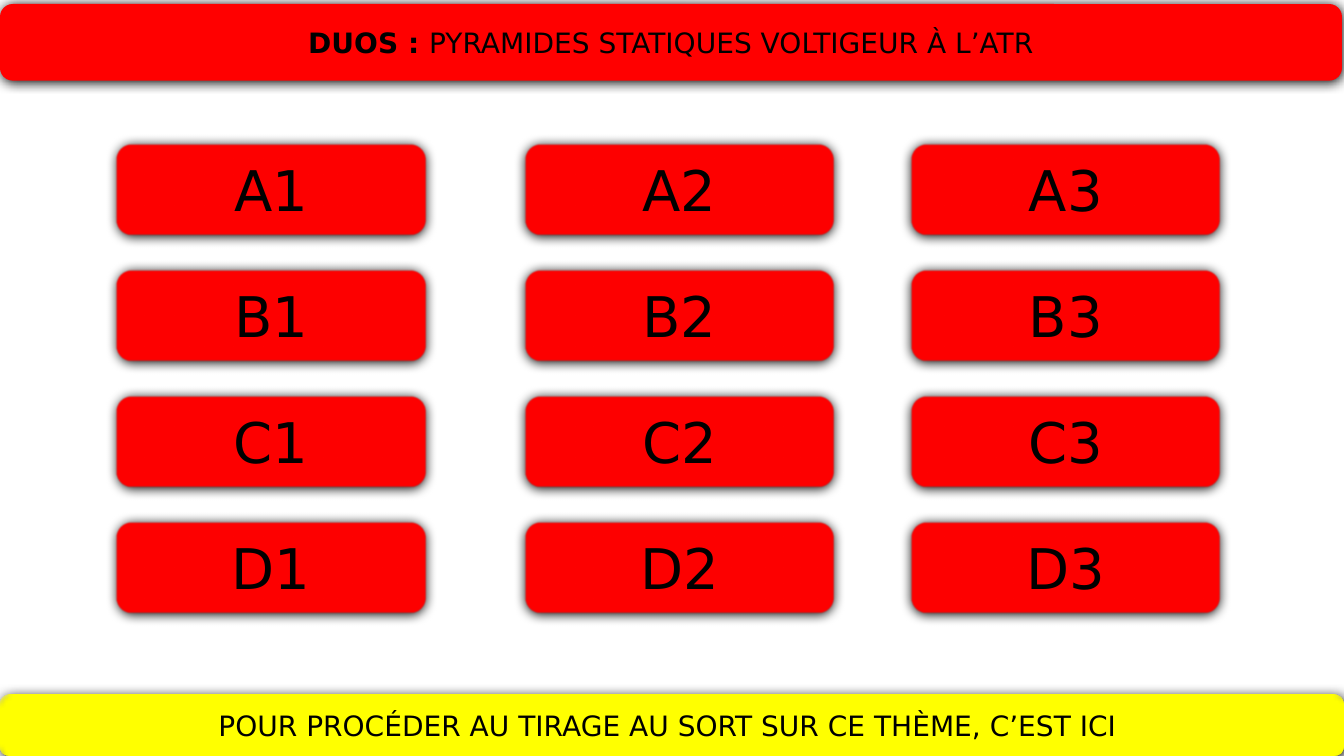
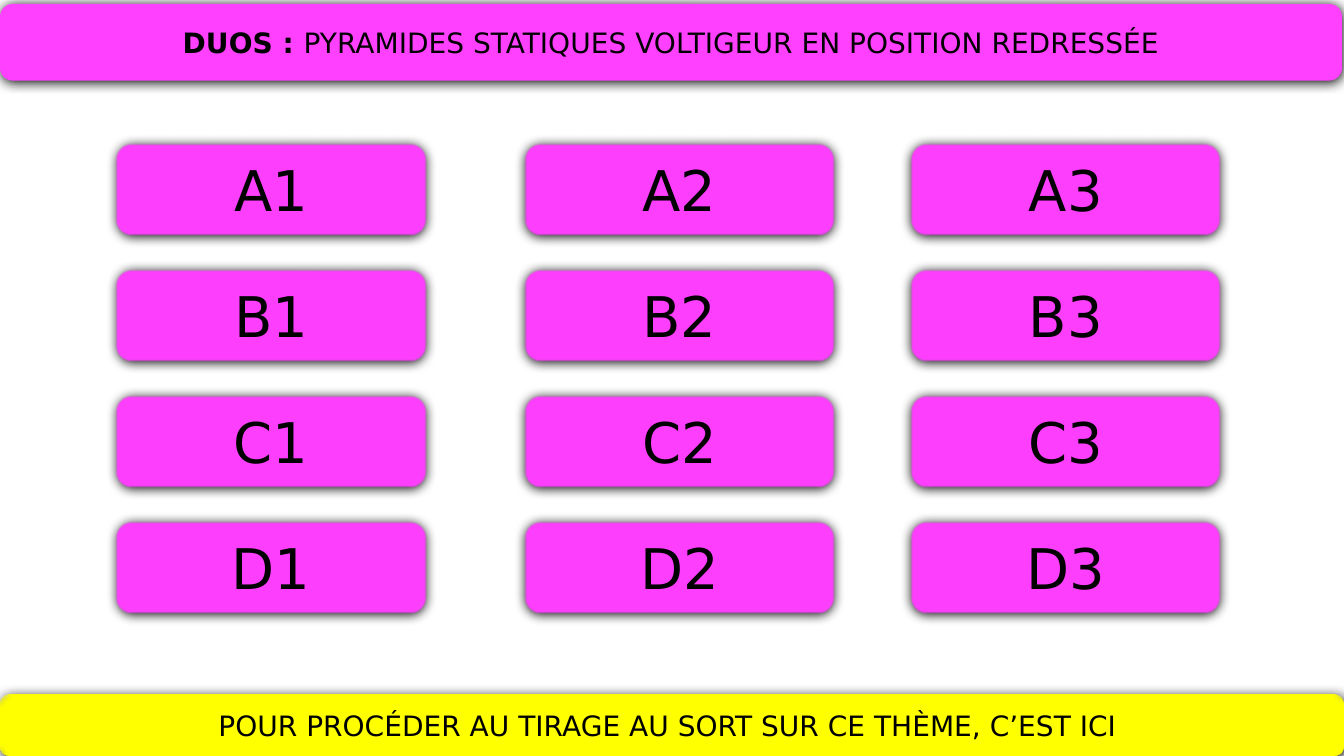
from dataclasses import dataclass

from lxml import etree
from pptx import Presentation
from pptx.dml.color import RGBColor
from pptx.enum.shapes import MSO_SHAPE
from pptx.enum.text import MSO_ANCHOR, PP_ALIGN
from pptx.oxml.ns import qn
from pptx.presentation import Presentation as Deck
from pptx.shapes.autoshape import Shape
from pptx.slide import Slide
from pptx.util import Inches, Pt

ROUNDED = MSO_SHAPE.ROUNDED_RECTANGLE
MIDDLE = MSO_ANCHOR.MIDDLE
CENTER = PP_ALIGN.CENTER

WIDTH, HEIGHT = 13.33, 7.5
FONT = "DejaVu Sans"
BLACK, RED, MAGENTA, YELLOW = "000000", "FF0000", "FF40FF", "FFFF00"
BLANK_LAYOUT = 6

COLUMN_LEFTS = (1.15, 5.2, 9.03)
ROW_NAMES = "ABCD"
FIRST_ROW_TOP, ROW_PITCH = 1.42, 1.25
CARD_WIDTH, CARD_HEIGHT = 3.08, 0.92
CARD_SIZE, BAND_SIZE = 40, 20
SHADOW_BLUR, SHADOW_DISTANCE, SHADOW_ANGLE = 8.5, 1, 90
SOFT_EDGE, OUTLINE_WIDTH = 1, 0.75

CATEGORY = "DUOS : "
DRAW_PROMPT = "POUR PROCÉDER AU TIRAGE AU SORT SUR CE THÈME, C’EST ICI "


@dataclass(frozen=True)
class Area:
    left: float
    top: float
    width: float
    height: float


@dataclass(frozen=True)
class Theme:
    title: str
    color: str


TITLE_AREA = Area(0, 0.04, WIDTH - 0.02, 0.76)
DRAW_AREA = Area(0, HEIGHT - 0.61, WIDTH, 0.61)

THEMES = (
    Theme("PYRAMIDES STATIQUES VOLTIGEUR À L’ATR", RED),
    Theme("PYRAMIDES STATIQUES VOLTIGEUR EN POSITION REDRESSÉE", MAGENTA),
)


def rgb(color: str) -> RGBColor:
    return RGBColor.from_string(color)


def add_effects(box: Shape, soft: bool) -> None:
    box.shadow.inherit = False
    effects = box._element.spPr.find(qn("a:effectLst"))
    shadow = etree.SubElement(
        effects,
        qn("a:outerShdw"),
        blurRad=str(Pt(SHADOW_BLUR)),
        dist=str(Pt(SHADOW_DISTANCE)),
        dir=str(SHADOW_ANGLE * 60000),
        algn="ctr",
        rotWithShape="0",
    )
    etree.SubElement(shadow, qn("a:srgbClr"), val=BLACK)
    if soft:
        etree.SubElement(effects, qn("a:softEdge"), rad=str(Pt(SOFT_EDGE)))


def add_box(
    page: Slide, area: Area, color: str, text: str, size: float, soft: bool = True
) -> Shape:
    box = page.shapes.add_shape(
        ROUNDED,
        Inches(area.left),
        Inches(area.top),
        Inches(area.width),
        Inches(area.height),
    )
    box.fill.solid()
    box.fill.fore_color.rgb = rgb(color)
    box.line.fill.background()
    add_effects(box, soft)
    frame = box.text_frame
    frame.word_wrap = True
    frame.vertical_anchor = MIDDLE
    para = frame.paragraphs[0]
    para.alignment = CENTER
    para.font.name = FONT
    para.font.size = Pt(size)
    para.font.color.rgb = rgb(BLACK)
    para.add_run().text = text
    return box


def add_title(page: Slide, theme: Theme) -> None:
    box = add_box(page, TITLE_AREA, theme.color, CATEGORY, BAND_SIZE, soft=False)
    para = box.text_frame.paragraphs[0]
    category = para.runs[0]
    category.font.bold = True
    outline = etree.Element(qn("a:ln"), w=str(Pt(OUTLINE_WIDTH)))
    fill = etree.SubElement(outline, qn("a:solidFill"))
    etree.SubElement(fill, qn("a:srgbClr"), val=BLACK)
    category.font._element.insert(0, outline)
    para.add_run().text = theme.title


def add_cards(page: Slide, color: str) -> None:
    for row, name in enumerate(ROW_NAMES):
        top = FIRST_ROW_TOP + row * ROW_PITCH
        for number, left in enumerate(COLUMN_LEFTS, start=1):
            area = Area(left, top, CARD_WIDTH, CARD_HEIGHT)
            add_box(page, area, color, f"{name}{number}", CARD_SIZE)


def add_theme_page(deck: Deck, theme: Theme) -> None:
    page = deck.slides.add_slide(deck.slide_layouts[BLANK_LAYOUT])
    add_cards(page, theme.color)
    add_title(page, theme)
    add_box(page, DRAW_AREA, YELLOW, DRAW_PROMPT, BAND_SIZE)


def main() -> None:
    deck = Presentation()
    deck.slide_width = Inches(WIDTH)
    deck.slide_height = Inches(HEIGHT)
    for theme in THEMES:
        add_theme_page(deck, theme)
    deck.save("out.pptx")


if __name__ == "__main__":
    main()
